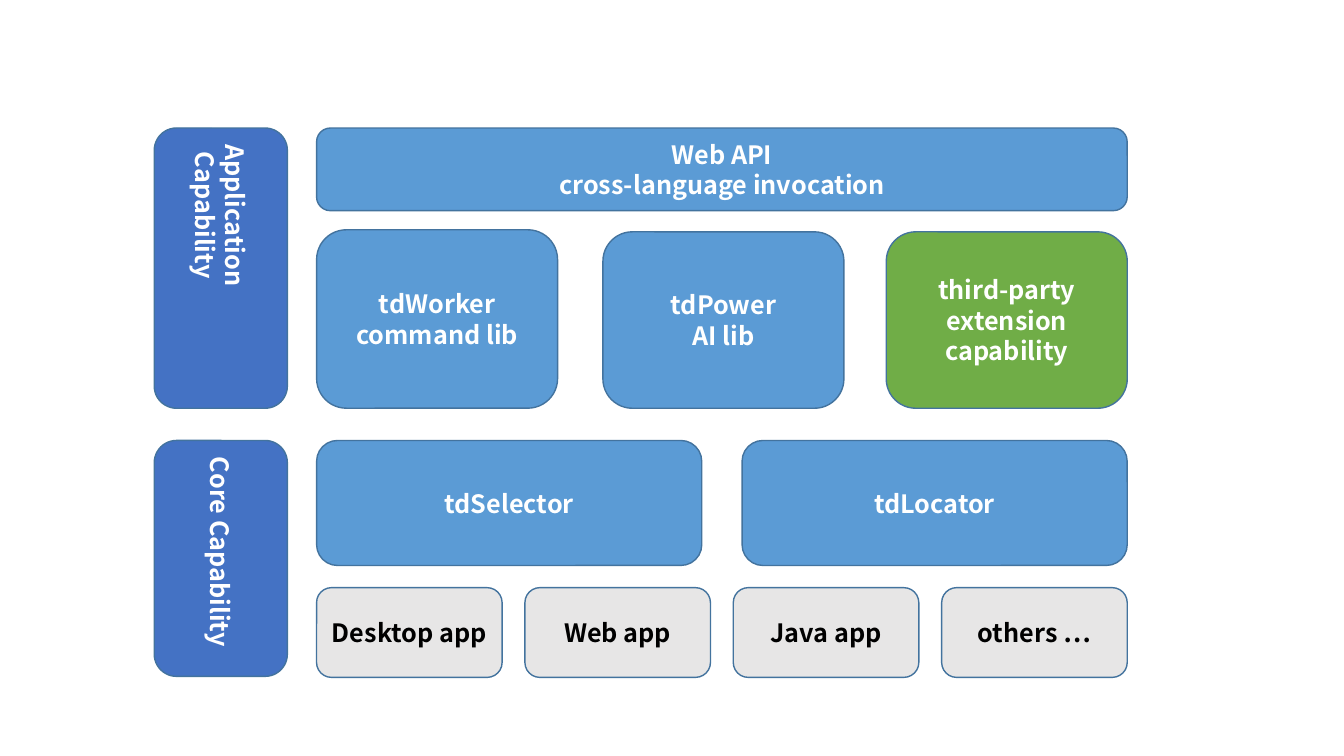
"""Build a one-slide diagram of application and core capability layers."""
from dataclasses import dataclass

from pptx import Presentation
from pptx.dml.color import RGBColor
from pptx.enum.shapes import MSO_SHAPE
from pptx.enum.text import MSO_ANCHOR, PP_ALIGN
from pptx.util import Emu, Pt

ROUNDED = MSO_SHAPE.ROUNDED_RECTANGLE
MIDDLE = MSO_ANCHOR.MIDDLE
CENTER = PP_ALIGN.CENTER
EMU_PER_PX = 9144
BLANK_LAYOUT = 6


@dataclass(frozen=True)
class Theme:
    font: str = "Noto Sans CJK SC"
    text_size: int = 18
    outline_width: int = 1
    outline: str = "43739E"
    layer: str = "4472C4"
    module: str = "5B9BD5"
    extension: str = "70AD47"
    target: str = "E7E6E6"
    light_text: str = "FFFFFF"
    dark_text: str = "000000"


def px(length):
    return Emu(round(length * EMU_PER_PX))


def write_text(frame, text, *, font, size, color, bold=True, vertical=False):
    frame.word_wrap = True
    frame.vertical_anchor = MIDDLE
    if vertical:
        frame._txBody.bodyPr.set("vert", "eaVert")
    frame.text = text
    for paragraph in frame.paragraphs:
        paragraph.alignment = CENTER
        for run in paragraph.runs:
            run.font.name = font
            run.font.size = Pt(size)
            run.font.bold = bold
            run.font.color.rgb = RGBColor.from_string(color)


class Diagram:
    def __init__(self, slide, theme):
        self.slide = slide
        self.theme = theme

    def block(self, text, left, top, width, height, fill, color=None, vertical=False):
        theme = self.theme
        block = self.slide.shapes.add_shape(
            ROUNDED, px(left), px(top), px(width), px(height)
        )
        block.shadow.inherit = False
        block.fill.solid()
        block.fill.fore_color.rgb = RGBColor.from_string(fill)
        block.line.color.rgb = RGBColor.from_string(theme.outline)
        block.line.width = Pt(theme.outline_width)
        write_text(
            block.text_frame, text, font=theme.font, size=theme.text_size,
            color=color or theme.light_text, vertical=vertical,
        )

    def row(self, labels, left, top, total_width, width, height, fill, color=None):
        pitch = (total_width - width) / (len(labels) - 1)
        for index, label in enumerate(labels):
            self.block(label, left + index * pitch, top, width, height, fill, color)


def main():
    theme = Theme()
    deck = Presentation()
    deck.slide_width, deck.slide_height = px(1333), px(750)
    slide = deck.slides.add_slide(deck.slide_layouts[BLANK_LAYOUT])
    diagram = Diagram(slide, theme)

    layer_left, layer_width = 153, 132
    stack_left, stack_width = 314, 804
    application_top, core_top = 127, 437

    for layer, top, height in (
        ("Application Capability", application_top, 278),
        ("Core Capability", core_top, 234),
    ):
        diagram.block(
            layer, layer_left, top, layer_width, height, theme.layer, vertical=True
        )

    diagram.block(
        "Web API\ncross-language invocation",
        stack_left, application_top, stack_width, 82, theme.module,
    )
    for library, left, top, height, fill in (
        ("tdWorker\ncommand lib", stack_left, 228, 177, theme.module),
        ("tdPower\nAI lib", 598, 230, 175, theme.module),
        ("third-party extension capability", 879, 230, 175, theme.extension),
    ):
        diagram.block(library, left, top, 239, height, fill)

    diagram.row(
        ("tdSelector", "tdLocator"),
        stack_left, core_top, stack_width, 382, 124, theme.module,
    )
    diagram.row(
        ("Desktop app", "Web app", "Java app", "others …"),
        stack_left, 583, stack_width, 184, 89, theme.target, theme.dark_text,
    )
    deck.save("out.pptx")


if __name__ == "__main__":
    main()
